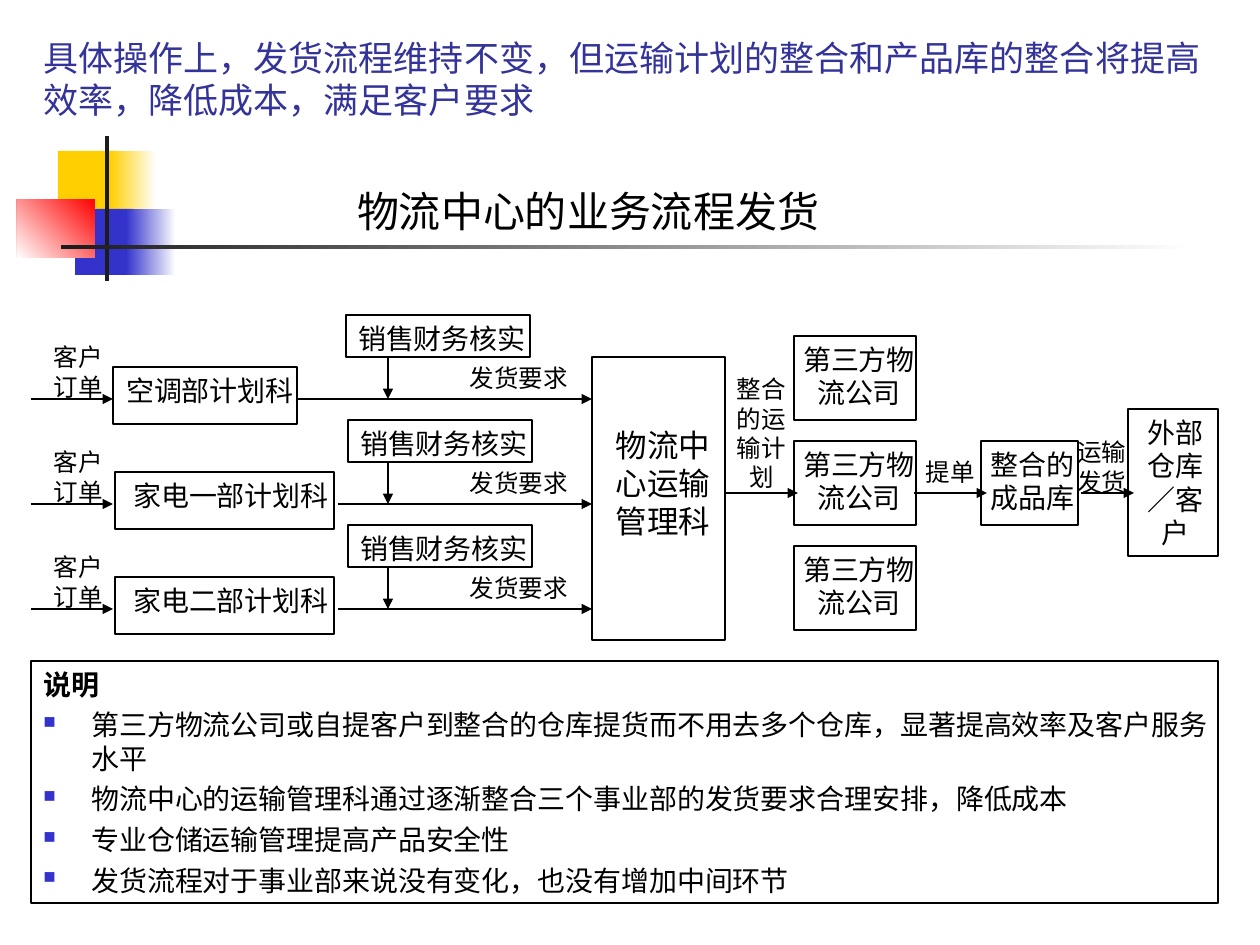
from lxml.etree import SubElement
from pptx import Presentation
from pptx.dml.color import RGBColor
from pptx.enum.lang import MSO_LANGUAGE_ID
from pptx.enum.shapes import MSO_CONNECTOR, MSO_SHAPE
from pptx.enum.text import MSO_ANCHOR, PP_ALIGN
from pptx.oxml.ns import qn
from pptx.util import Pt

PX = 914400 / 126
FONT = "Roboto"
COLORS = {
    "white": "FFFFFF", "black": "000000", "yellow": "FFCF01", "blue": "3333CC",
    "red": "FF0000", "charcoal": "1C1C1C", "title": "333399",
}
ROW_PITCH = 105
DEPARTMENTS = [
    ("空调部计划科", 113, 184, 103, 214, 297, 346),
    ("家电一部计划科", 115, 219, 103, 256, 338, 348),
    ("家电二部计划科", 115, 219, 103, 256, 338, 348),
]
NOTES = [
    "第三方物流公司或自提客户到整合的仓库提货而不用去多个仓库，显著提高效率及客户服务水平",
    "物流中心的运输管理科通过逐渐整合三个事业部的发货要求合理安排，降低成本",
    "专业仓储运输管理提高产品安全性",
    "发货流程对于事业部来说没有变化，也没有增加中间环节",
]


def px(value):
    """Turn pixels into EMU."""
    return round(value * PX)


def rgb(name):
    """Look up a named colour."""
    return RGBColor.from_string(COLORS[name])


def add_rectangle(slide, left, top, width, height, fill=None, fade=None, angle=180):
    """Add a filled, fading or, without a fill, outlined rectangle."""
    shape = slide.shapes.add_shape(
        MSO_SHAPE.RECTANGLE, px(left), px(top), px(width), px(height))
    shape.shadow.inherit = False
    if fill is None:
        shape.fill.background()
        shape.line.color.rgb = rgb("black")
        shape.line.width = Pt(0.75)
        return
    shape.line.fill.background()
    if fade is None:
        shape.fill.solid()
        shape.fill.fore_color.rgb = rgb(fill)
        return
    shape.fill.gradient()
    shape.fill.gradient_angle = angle
    for stop, name in zip(shape.fill.gradient_stops, (fill, fade)):
        stop.color.rgb = rgb(name)


def add_arrow(slide, x1, y1, x2, y2):
    """Add a thin line with a triangle at its end."""
    arrow = slide.shapes.add_connector(
        MSO_CONNECTOR.STRAIGHT, px(x1), px(y1), px(x2), px(y2))
    arrow.line.color.rgb = rgb("black")
    arrow.line.width = Pt(0.75)
    SubElement(arrow.line._get_or_add_ln(), qn("a:tailEnd"), type="triangle")
    SubElement(arrow._element.spPr, qn("a:effectLst"))


def write_text(paragraph, text, size=16, color="black", bold=False,
               align=PP_ALIGN.CENTER):
    """Write formatted text into a paragraph."""
    paragraph.alignment = align
    run = paragraph.add_run()
    run.text = text
    font = run.font
    font.size, font.bold, font.name = Pt(size), bold, FONT
    font.color.rgb = rgb(color)
    font.language_id = MSO_LANGUAGE_ID.SIMPLIFIED_CHINESE
    SubElement(font._element, qn("a:ea"), typeface=FONT)


def add_frame(slide, left, top, width, height, anchor=MSO_ANCHOR.TOP):
    """Add a wrapping text box and return its text frame."""
    frame = slide.shapes.add_textbox(
        px(left), px(top), px(width), px(height)).text_frame
    frame.word_wrap = True
    frame.vertical_anchor = anchor
    return frame


def add_label(slide, text, left, top, width, height, size=14):
    """Add a centred label."""
    write_text(add_frame(slide, left, top, width, height).paragraphs[0], text, size=size)


def add_box(slide, text, box, label, size=16):
    """Add an outlined box with a label laid over it."""
    add_rectangle(slide, *box)
    add_label(slide, text, *label, size=size)


def add_bullet(paragraph):
    """Give a paragraph a small blue square bullet."""
    properties = paragraph._p.get_or_add_pPr()
    properties.set("marL", str(px(48)))
    properties.set("indent", str(px(-48)))
    color = SubElement(properties, qn("a:buClr"))
    SubElement(color, qn("a:srgbClr"), val=COLORS["blue"])
    SubElement(properties, qn("a:buSzPct"), val="60000")
    SubElement(properties, qn("a:buChar"), char="■")


def add_header(slide):
    """Add the ornament, the title and the diagram heading."""
    add_rectangle(slide, 58, 151, 60, 66, "yellow")
    add_rectangle(slide, 110, 151, 46, 66, "white", "yellow")
    add_rectangle(slide, 75, 209, 58, 66, "blue")
    add_rectangle(slide, 126, 209, 50, 66, "white", "blue")
    add_rectangle(slide, 17, 199, 78, 59, "red", "white", 225)
    add_rectangle(slide, 105, 136, 4, 145, "charcoal")
    add_rectangle(slide, 61, 245, 1134, 4, "white", "charcoal")
    title = add_frame(slide, 31, 31, 1200, 96, MSO_ANCHOR.BOTTOM)
    write_text(title.paragraphs[0],
               "具体操作上，发货流程维持不变，但运输计划的整合和产品库的整合将提高效率，降低成本，满足客户要求",
               size=20, color="title", align=PP_ALIGN.LEFT)
    add_label(slide, "物流中心的业务流程发货", 315, 179, 546, 63, size=24)


def add_department_rows(slide):
    """Add one order row for each department, with its logistics company."""
    for row, department in enumerate(DEPARTMENTS):
        name, left, width, label_left, label_width, arrow_left, check_left = department
        top = 315 + row * ROW_PITCH
        flow = top + 84
        add_box(slide, "销售财务核实", (check_left, top, 184, 42),
                (check_left - 11, top, 214, 47))
        add_box(slide, name, (left, top + 52, width, 57),
                (label_left, top + 52, label_width, 47))
        add_box(slide, "第三方物流公司", (794, top + 21, 122, 84),
                (788, top + 21, 142, 81))
        add_arrow(slide, 31, flow, 113, flow)
        add_arrow(slide, arrow_left, flow, 592, flow)
        add_arrow(slide, 388, top + 42, 388, flow)
        add_label(slide, "客户订单", 31, top + 21, 95, 72)
        add_label(slide, "发货要求", 451, top + 42, 136, 43)


def add_delivery(slide):
    """Add the shared transport, warehouse and customer steps."""
    add_box(slide, "物流中心运输管理科", (592, 357, 133, 283), (592, 420, 142, 126), 18)
    add_box(slide, "整合的成品库", (981, 441, 97, 84), (976, 441, 113, 81))
    add_box(slide, "外部仓库／客户", (1128, 409, 90, 147), (1123, 409, 105, 147))
    for start, end in ((725, 798), (914, 987), (1081, 1134)):
        add_arrow(slide, start, 493, end, 493)
    add_label(slide, "整合的运输计划", 714, 368, 95, 131)
    add_label(slide, "提单", 903, 451, 95, 43)
    add_label(slide, "运输发货", 1060, 431, 84, 72)


def add_notes_box(slide):
    """Add the framed explanation with its bullets."""
    add_rectangle(slide, 31, 661, 1187, 242)
    frame = add_frame(slide, 31, 661, 1197, 247)
    write_text(frame.paragraphs[0], "说明", bold=True, align=PP_ALIGN.LEFT)
    for note in NOTES:
        paragraph = frame.add_paragraph()
        add_bullet(paragraph)
        paragraph.space_before = Pt(4)
        write_text(paragraph, note, align=PP_ALIGN.LEFT)


def main():
    """Build and save the delivery process slide."""
    presentation = Presentation()
    presentation.slide_width, presentation.slide_height = px(1260), px(945)
    slide = presentation.slides.add_slide(presentation.slide_layouts[6])
    add_header(slide)
    add_department_rows(slide)
    add_delivery(slide)
    add_notes_box(slide)
    presentation.save("out.pptx")


if __name__ == "__main__":
    main()
